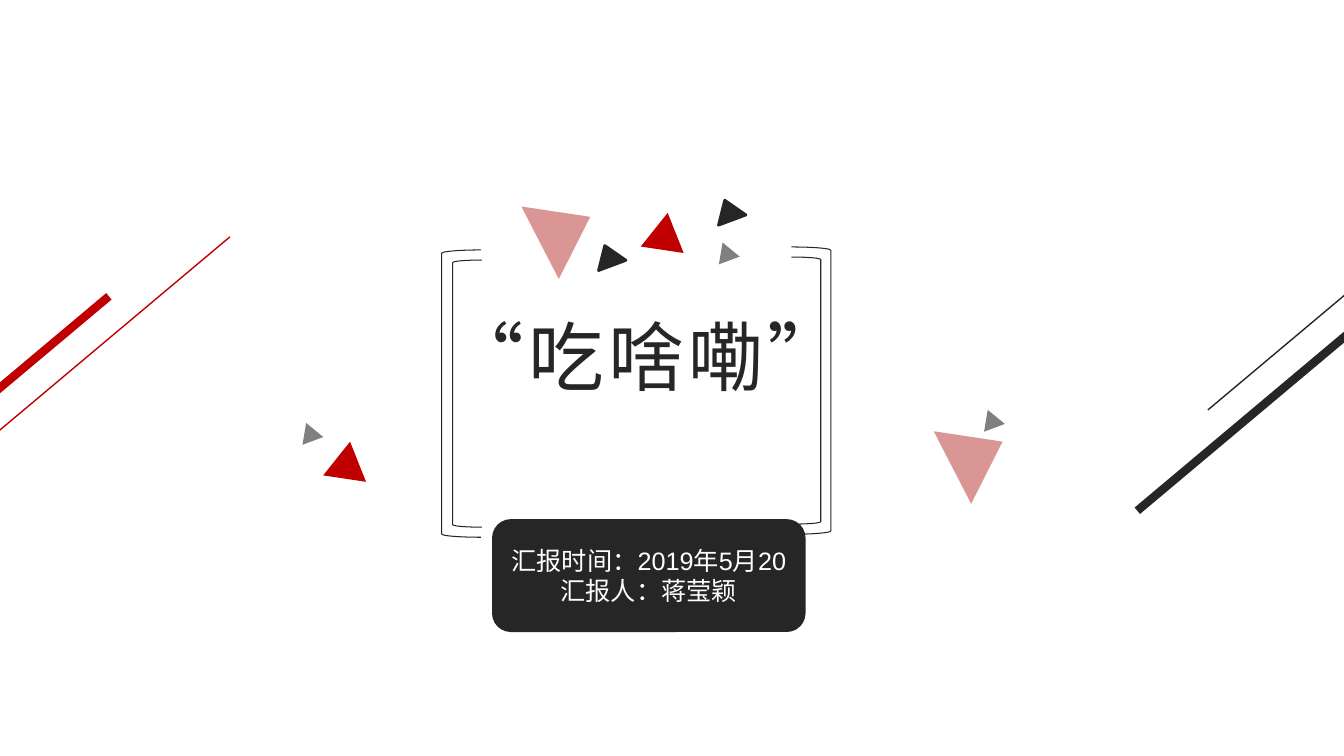
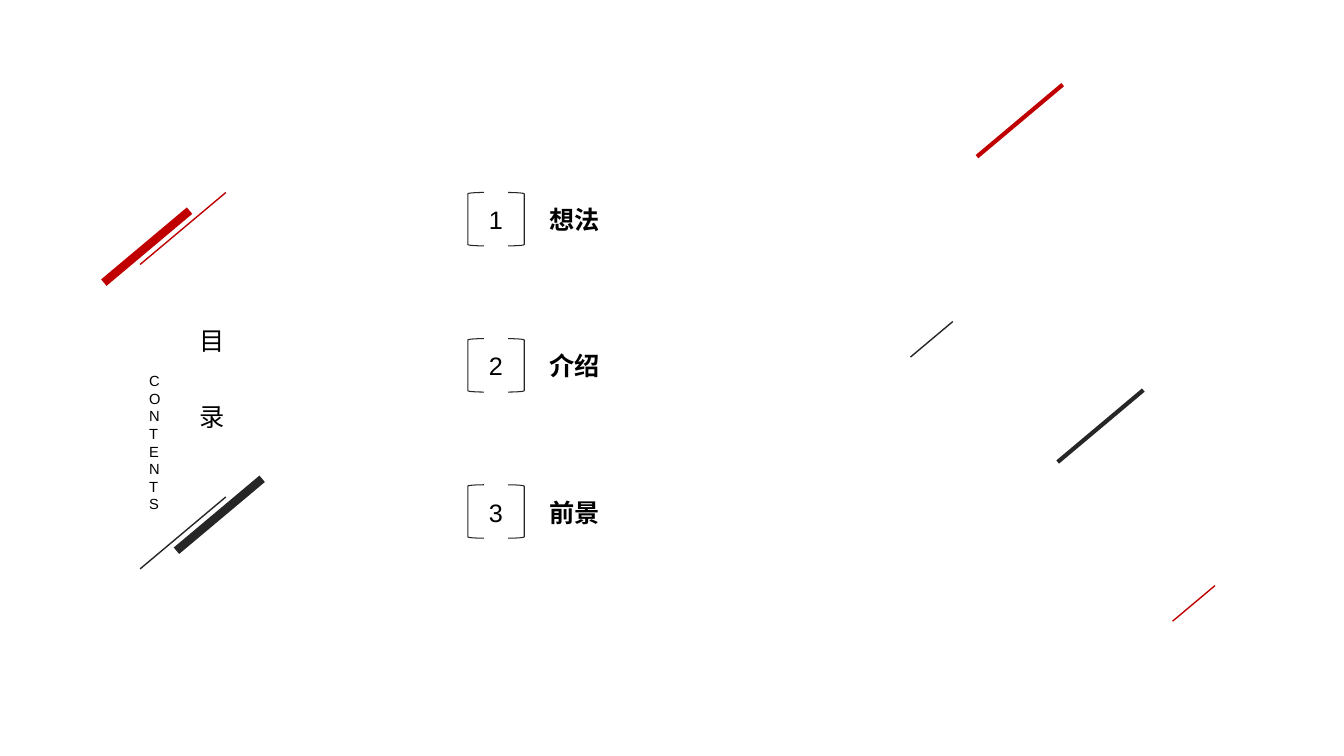
from dataclasses import dataclass

from lxml import etree
from pptx import Presentation
from pptx.dml.color import RGBColor
from pptx.enum.shapes import MSO_CONNECTOR, MSO_SHAPE
from pptx.enum.text import MSO_ANCHOR, MSO_AUTO_SIZE, PP_ALIGN
from pptx.oxml.ns import qn
from pptx.util import Inches, Pt

STRAIGHT = MSO_CONNECTOR.STRAIGHT
TRIANGLE = MSO_SHAPE.ISOSCELES_TRIANGLE
ROUNDED = MSO_SHAPE.ROUNDED_RECTANGLE
LEFT_BRACKET = MSO_SHAPE.LEFT_BRACKET
RIGHT_BRACKET = MSO_SHAPE.RIGHT_BRACKET
MIDDLE = MSO_ANCHOR.MIDDLE
FIT_SHAPE = MSO_AUTO_SIZE.SHAPE_TO_FIT_TEXT
LEFT, CENTER = PP_ALIGN.LEFT, PP_ALIGN.CENTER


@dataclass(frozen=True)
class Theme:
    red = RGBColor(0xC0, 0x00, 0x00)
    pink = RGBColor(0xD9, 0x96, 0x94)
    gray = RGBColor(0x80, 0x80, 0x80)
    dark = RGBColor(0x26, 0x26, 0x26)
    black = RGBColor(0x00, 0x00, 0x00)
    white = RGBColor(0xFF, 0xFF, 0xFF)
    font = "Arial"
    title = 54
    body = 18
    small = 10.5
    bracket_line = 0.75
    slope = 0.84


T = Theme()


def add_shape(s, kind, box, fill=None, line=None, weight=T.bracket_line, rotation=0):
    sp = s.shapes.add_shape(kind, *map(Inches, box))
    sp.shadow.inherit = False
    sp.rotation = rotation
    if fill is None:
        sp.fill.background()
    else:
        sp.fill.solid()
        sp.fill.fore_color.rgb = fill
    if line is None:
        sp.line.fill.background()
    else:
        sp.line.color.rgb = line
        sp.line.width = Pt(weight)
    return sp


def write(tf, lines, size, color, align=LEFT, bold=False, spacing=None):
    """Fill a text frame with one paragraph per line."""
    for i, line in enumerate(lines):
        p = tf.add_paragraph() if i else tf.paragraphs[0]
        p.text = line
        p.alignment = align
        p.line_spacing = spacing
        p.font.name = T.font
        p.font.size = Pt(size)
        p.font.bold = bold
        p.font.color.rgb = color


prs = Presentation()
prs.slide_width, prs.slide_height = Inches(13.33), Inches(7.5)
blank = prs.slide_layouts[6]
cover = prs.slides.add_slide(blank)
contents = prs.slides.add_slide(blank)

# Diagonal strokes: slide, upper right end, horizontal run, colour, weight
strokes = [
    (cover, 1.08, 2.94, 2.83, T.red, 6),
    (cover, 2.28, 2.35, 2.83, T.red, 1),
    (cover, 14.11, 2.69, 2.83, T.dark, 6),
    (cover, 14.81, 1.69, 2.83, T.dark, 1),
    (contents, 1.88, 2.09, 0.85, T.red, 6),
    (contents, 2.24, 1.91, 0.85, T.red, 1),
    (contents, 2.6, 4.75, 0.85, T.dark, 6),
    (contents, 2.24, 4.93, 0.85, T.dark, 1),
    (contents, 10.54, 0.84, 0.85, T.red, 3),
    (contents, 9.45, 3.19, 0.42, T.dark, 1),
    (contents, 12.05, 5.81, 0.42, T.red, 1),
    (contents, 11.34, 3.87, 0.85, T.dark, 3),
]
for s, x, y, run, color, weight in strokes:
    ends = (x, y, x - run, y + run * T.slope)
    stroke = s.shapes.add_connector(STRAIGHT, *map(Inches, ends))
    stroke.line.color.rgb = color
    stroke.line.width = Pt(weight)
    etree.SubElement(stroke._element.spPr, qn("a:effectLst"))

# Cover: scattered triangles, each kind with its size, rotation and places
triangles = [
    (T.red, None, (0.43, 0.37), 8.5, [(3.23, 4.38), (6.38, 2.11)]),
    (T.gray, None, (0.22, 0.19), 339.5, [(2.96, 4.19), (7.09, 2.4), (9.72, 4.06)]),
    (T.pink, None, (0.81, 0.56), 62.7, [(9.29, 4.23), (5.2, 2)]),
    (T.dark, T.dark, (0.29, 0.21), 339.5, [(5.89, 2.43), (7.08, 1.98)]),
]
for fill, line, size, rotation, places in triangles:
    for place in places:
        add_shape(cover, TRIANGLE, place + size, fill, line, 2, rotation)

# Cover: double brackets around the title
for kind, inner_x, outer_x, top in (
    (LEFT_BRACKET, 4.49, 4.38, 2.48),
    (RIGHT_BRACKET, 7.85, 7.85, 2.45),
):
    add_shape(cover, kind, (inner_x, top + 0.1, 0.29, 2.65), line=T.dark)
    add_shape(cover, kind, (outer_x, top, 0.39, 2.85), line=T.dark)

title = cover.shapes.add_textbox(Inches(4.31), Inches(3.03), Inches(4.2), Inches(1.01))
tf = title.text_frame
tf.word_wrap = False
tf.auto_size = FIT_SHAPE
write(tf, ["“吃啥嘞”"], T.title, T.dark, CENTER)
tf.paragraphs[0].runs[0]._r.get_or_add_rPr().set("spc", "300")

presenter = add_shape(cover, ROUNDED, (4.88, 5.15, 3.11, 1.12), T.dark)
tf = presenter.text_frame
tf.word_wrap = True
tf.vertical_anchor = MIDDLE
write(tf, ["汇报时间：2019年5月20汇报人：蒋莹颖"], T.body, T.white, CENTER)

# Contents: text boxes as box, lines, size, bold, line spacing, wrap
labels = [
    ((1.88, 2.73, 0.45, 1.49), ["目", "录"], T.body, False, 2.5, False),
    ((1.38, 3.64, 0.25, 1.45), ["CONTENTS"], T.small, False, None, True),
]
for i, topic in enumerate(["想法", "介绍", "前景"]):
    top = 1.91 + 1.45 * i
    add_shape(contents, LEFT_BRACKET, (4.64, top, 0.16, 0.53), line=T.dark)
    add_shape(contents, RIGHT_BRACKET, (5.04, top, 0.16, 0.53), line=T.dark)
    labels += [
        ((4.75, top + 0.07, 0.34, 0.4), [str(i + 1)], T.body, False, None, False),
        ((5.35, top + 0.07, 0.71, 0.4), [topic], T.body, True, None, False),
    ]
for box, lines, size, bold, spacing, wrap in labels:
    tf = contents.shapes.add_textbox(*map(Inches, box)).text_frame
    tf.word_wrap = wrap
    tf.auto_size = FIT_SHAPE
    write(tf, lines, size, T.black, bold=bold, spacing=spacing)

prs.save("out.pptx")
